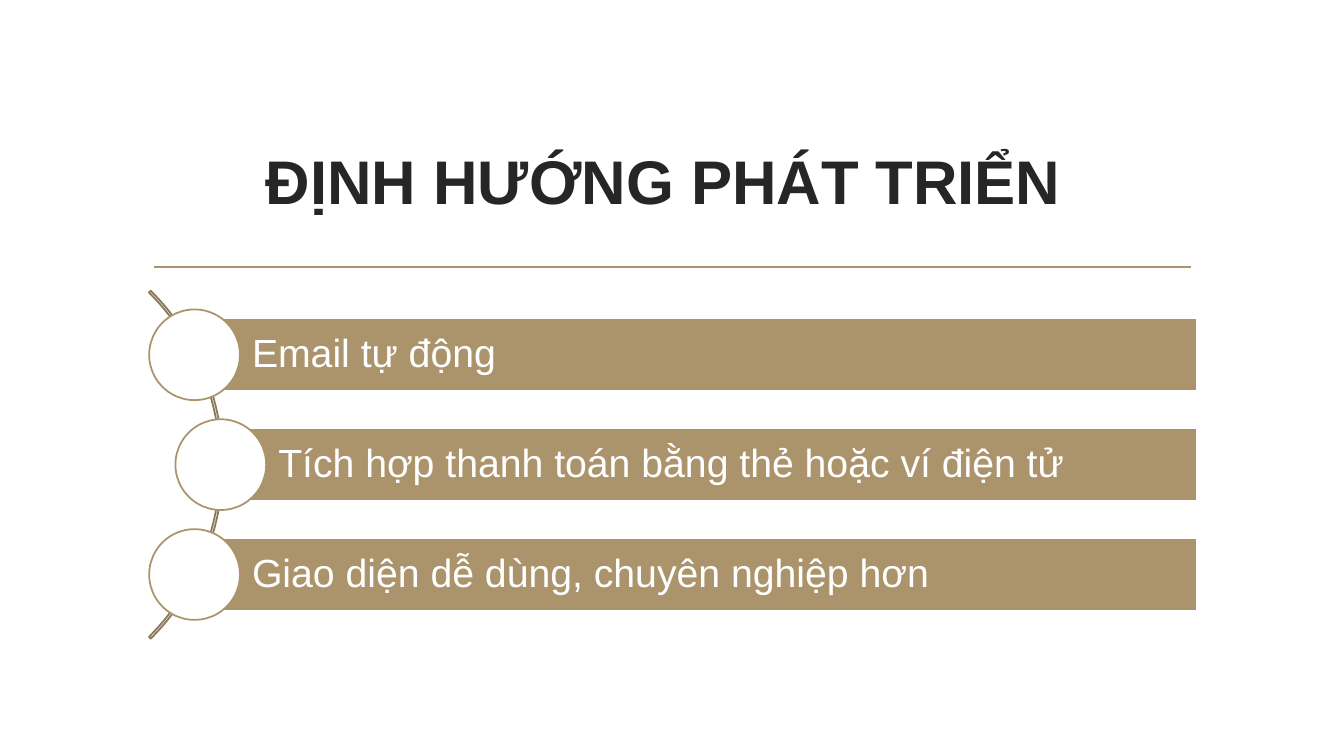
"""Builds the slide on development directions."""
from dataclasses import dataclass

from pptx import Presentation
from pptx.dml.color import RGBColor as Rgb
from pptx.enum.shapes import MSO_CONNECTOR as Link, MSO_SHAPE as Kind
from pptx.enum.text import MSO_ANCHOR as Anchor, PP_ALIGN as Align
from pptx.oxml.ns import qn
from pptx.shapes.autoshape import Shape
from pptx.slide import Slide
from pptx.util import Emu, Pt

PX = 9144


@dataclass(frozen=True)
class Theme:
    font: str = "Arial"
    tan: Rgb = Rgb(0xAB, 0x94, 0x6B)
    brown: Rgb = Rgb(0x89, 0x77, 0x56)
    white: Rgb = Rgb(0xFF, 0xFF, 0xFF)
    ink: Rgb = Rgb(0x26, 0x26, 0x26)
    title: Pt = Pt(44)
    body: Pt = Pt(28)
    line: Pt = Pt(1.25)


@dataclass(frozen=True)
class Box:
    left: int
    top: int
    width: int
    height: int

    def emu(self) -> tuple[Emu, ...]:
        sides = (self.left, self.top, self.width, self.height)
        return tuple(Emu(side * PX) for side in sides)


@dataclass(frozen=True)
class Goal:
    text: str
    mid: int


THEME = Theme()
GOALS = (
    Goal("Email tự động", 193),
    Goal("Tích hợp thanh toán bằng thẻ hoặc ví điện tử", 219),
    Goal("Giao diện dễ dùng, chuyên nghiệp hơn", 193),
)
RIGHT, FIRST, STEP = 1187, 352, 109
BAR, DOT, ARC = 72, 90, 488


def write(shape: Shape, text: str, size: Pt, color: Rgb, align: Align,
          left: int, right: int) -> None:
    frame = shape.text_frame
    frame.word_wrap = True
    frame.vertical_anchor = Anchor.MIDDLE
    frame.margin_left, frame.margin_right = Emu(left * PX), Emu(right * PX)
    par = frame.paragraphs[0]
    par.text = text
    par.alignment = align
    par.line_spacing = 0.9
    par.font.name, par.font.size = THEME.font, size
    par.font.color.rgb = color


def draw(slide: Slide, kind: Kind, box: Box, fill: Rgb, line: Rgb) -> Shape:
    shape = slide.shapes.add_shape(kind, *box.emu())
    shape.shadow.inherit = False
    shape.fill.solid()
    shape.fill.fore_color.rgb = fill
    shape.line.color.rgb = line
    shape.line.width = THEME.line
    return shape


def head(slide: Slide) -> None:
    title = slide.shapes.add_textbox(*Box(142, 107, 1050, 143).emu())
    write(title, "ĐỊNH HƯỚNG PHÁT TRIỂN", THEME.title, THEME.ink,
          Align.CENTER, 10, 27)
    par = title.text_frame.paragraphs[0]
    par.font.bold = True
    par.line_spacing = 1.0
    ends = (Emu(side * PX) for side in (153, 265, 1181, 265))
    rule = slide.shapes.add_connector(Link.STRAIGHT, *ends)
    rule.line.color.rgb = THEME.tan
    rule.line.width = THEME.line
    props = rule._element.spPr
    props.append(props.makeelement(qn("a:effectLst"), {}))


def curve(slide: Slide) -> None:
    top = FIRST + STEP - ARC // 2
    arc = draw(slide, Kind.BLOCK_ARC, Box(-267, top, ARC, ARC),
               THEME.white, THEME.brown)
    arc.fill.background()
    for index, value in enumerate((189, 27, 0.005)):
        arc.adjustments[index] = value


def row(slide: Slide, goal: Goal, mid: int) -> None:
    bar = Box(goal.mid, mid - BAR // 2, RIGHT - goal.mid, BAR)
    dot = Box(goal.mid - DOT // 2, mid - DOT // 2, DOT, DOT)
    shape = draw(slide, Kind.RECTANGLE, bar, THEME.tan, THEME.white)
    write(shape, goal.text, THEME.body, THEME.white, Align.LEFT, 57, 8)
    draw(slide, Kind.OVAL, dot, THEME.white, THEME.tan)


def main() -> None:
    deck = Presentation()
    deck.slide_width, deck.slide_height = Emu(1333 * PX), Emu(750 * PX)
    slide = deck.slides.add_slide(deck.slide_layouts[6])
    head(slide)
    curve(slide)
    for index, goal in enumerate(GOALS):
        row(slide, goal, FIRST + index * STEP)
    deck.save("out.pptx")


if __name__ == "__main__":
    main()
